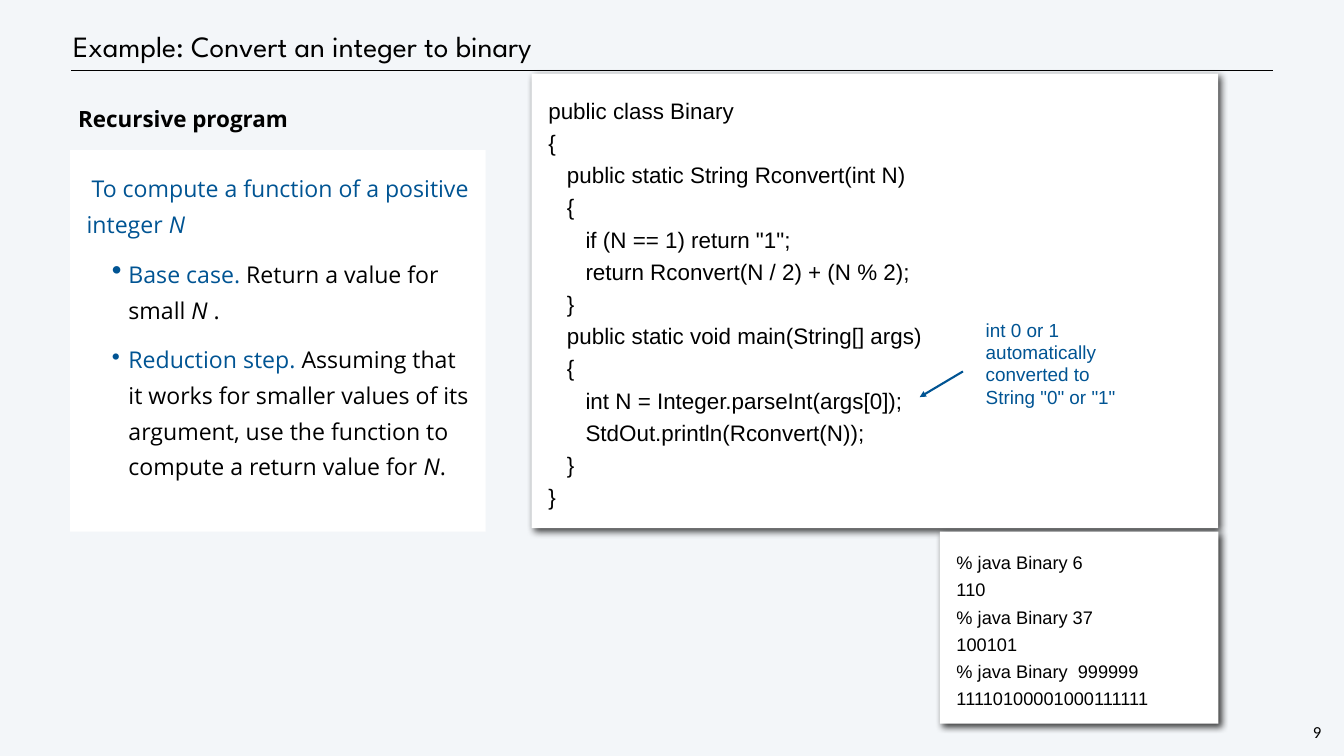
from typing import NamedTuple

from lxml.etree import SubElement
from pptx import Presentation
from pptx.dml.color import RGBColor
from pptx.enum.shapes import MSO_CONNECTOR, MSO_SHAPE
from pptx.enum.text import MSO_ANCHOR, PP_ALIGN
from pptx.oxml.ns import qn
from pptx.util import Inches, Pt

WIDE, HIGH = Inches(26.67), Inches(15)
HUES = {"back": "F3F6F9", "card": "FFFFFF", "ink": "000000", "blue": "005493"}


class Run(NamedTuple):
    text: str
    hue: str = "ink"
    slant: bool = False


class Line(NamedTuple):
    runs: list[Run]
    left: float = 0
    dent: float = 0
    dot: int = 0


class Style(NamedTuple):
    face: str
    size: float
    lead: float
    inset: float = 0.06
    gap: float = 0
    bold: bool = False
    wrap: bool = True
    anchor: MSO_ANCHOR = MSO_ANCHOR.TOP
    align: PP_ALIGN = PP_ALIGN.LEFT


class Block(NamedTuple):
    spot: tuple[float, float, float, float]
    style: Style
    lines: list[Line]
    card: bool = False
    shade: bool = False


def plain(text: str, hue: str = "ink") -> list[Line]:
    return [Line([Run(row, hue)]) for row in text.strip("\n").split("\n")]


MID = MSO_ANCHOR.MIDDLE
CODE = """
public class Binary
{
   public static String Rconvert(int N)
   {
      if (N == 1) return "1";
      return Rconvert(N / 2) + (N % 2);
   }
   public static void main(String[] args)
   {
      int N = Integer.parseInt(args[0]);
      StdOut.println(Rconvert(N));
   }
}
"""
PRINT = """
% java Binary 6
110
% java Binary 37
100101
% java Binary  999999
11110100001000111111
"""
NOTE = """
int 0 or 1
automatically
converted to
String "0" or "1"
"""
STEPS = [
    Line([Run("To compute a function of a positive integer ", "blue"),
          Run("N", "blue", True)], dent=0.1),
    Line([Run("Base case. ", "blue"), Run("Return a value for small "),
          Run("N", slant=True), Run(" .")], 0.83, -0.33, 125),
    Line([Run("Reduction step. ", "blue"),
          Run("Assuming that it works for smaller values of its argument, "
              "use the function to compute a return value for "),
          Run("N", slant=True), Run(".")], 0.83, -0.33, 104),
]
BLOCKS = [
    Block((5.21, 2.8, 84.81, 6.6), Style("League Spartan", 42, 50, anchor=MID),
          plain("Example: Convert an integer to binary")),
    Block((97.19, 95.27, 1.61, 3.13),
          Style("Calibri", 24, 28, 0.04, wrap=False, align=PP_ALIGN.CENTER), plain("9")),
    Block((39.56, 9.73, 51.07, 60.13), Style("Arial", 32, 46, 0.33, anchor=MID),
          plain(CODE), True, True),
    Block((69.93, 70.33, 20.73, 25.4), Style("Arial", 26, 39, 0.33, anchor=MID),
          plain(PRINT), True, True),
    Block((5.21, 19.87, 30.93, 50.47), Style("Open Sans", 33, 51, 0.33, 20), STEPS, True),
    Block((5.59, 12.47, 16.72, 4.27), Style("Open Sans", 32, 50, bold=True, wrap=False),
          plain("Recursive program")),
    Block((73.12, 41.73, 14.77, 13.53), Style("Arial", 27, 32), plain(NOTE, "blue")),
]


def tint(name: str) -> RGBColor:
    return RGBColor.from_string(HUES[name])


def place(*spot: float) -> list[int]:
    return [round(part * (HIGH if i % 2 else WIDE) / 100) for i, part in enumerate(spot)]


def apply(thing, form: dict) -> None:
    for key, value in form.items():
        setattr(thing, key, value)


def add_shade(shape) -> None:
    list_tag = shape.element.spPr.find(qn("a:effectLst"))
    cast = SubElement(list_tag, qn("a:outerShdw"), blurRad=str(Pt(10)), dist=str(Pt(6)),
                      dir="2700000", algn="tl", rotWithShape="0")
    hue = SubElement(cast, qn("a:srgbClr"), val=HUES["ink"])
    SubElement(hue, qn("a:alpha"), val="75000")


def add_line(para, line: Line, style: Style, first: bool) -> None:
    apply(para, {"alignment": style.align, "line_spacing": Pt(style.lead),
                 "space_before": Pt(0 if first else style.gap)})
    props = para._p.get_or_add_pPr()
    props.set("marL", str(Inches(line.left)))
    props.set("indent", str(Inches(line.dent)))
    if line.dot:
        SubElement(props, qn("a:buSzPct"), val=str(line.dot * 1000))
        SubElement(props, qn("a:buChar"), char="•")
    for part in line.runs:
        run = para.add_run()
        run.text = part.text
        apply(run.font, {"name": style.face, "size": Pt(style.size),
                         "bold": style.bold, "italic": part.slant})
        run.font.color.rgb = tint(part.hue)


def add_block(slide, block: Block) -> None:
    spot, style = place(*block.spot), block.style
    if block.card:
        shape = slide.shapes.add_shape(MSO_SHAPE.RECTANGLE, *spot)
        shape.shadow.inherit = False
        shape.fill.solid()
        shape.fill.fore_color.rgb = tint("card")
        shape.line.fill.background()
    else:
        shape = slide.shapes.add_textbox(*spot)
    if block.shade:
        add_shade(shape)
    frame = shape.text_frame
    sides = ("left", "top", "right", "bottom")
    apply(frame, {f"margin_{side}": Inches(style.inset) for side in sides})
    apply(frame, {"word_wrap": style.wrap, "vertical_anchor": style.anchor})
    for i, line in enumerate(block.lines):
        para = frame.add_paragraph() if i else frame.paragraphs[0]
        add_line(para, line, style, i == 0)


def add_rule(slide, ends: tuple, hue: str, width: float, head: bool = False) -> None:
    rule = slide.shapes.add_connector(MSO_CONNECTOR.STRAIGHT, *place(*ends))
    rule.line.color.rgb = tint(hue)
    rule.line.width = Pt(width)
    if head:
        SubElement(rule.line._get_or_add_ln(), qn("a:tailEnd"), type="triangle")
    SubElement(rule._element.spPr, qn("a:effectLst"))


def main() -> None:
    deck = Presentation()
    apply(deck, {"slide_width": WIDE, "slide_height": HIGH})
    slide = deck.slides.add_slide(deck.slide_layouts[6])
    slide.background.fill.solid()
    slide.background.fill.fore_color.rgb = tint("back")
    add_rule(slide, (5.32, 9.33, 94.75, 9.33), "ink", 1)
    for block in BLOCKS:
        add_block(slide, block)
    add_rule(slide, (71.65, 49.13, 68.43, 52.53), "blue", 3, True)
    deck.save("out.pptx")


if __name__ == "__main__":
    main()
